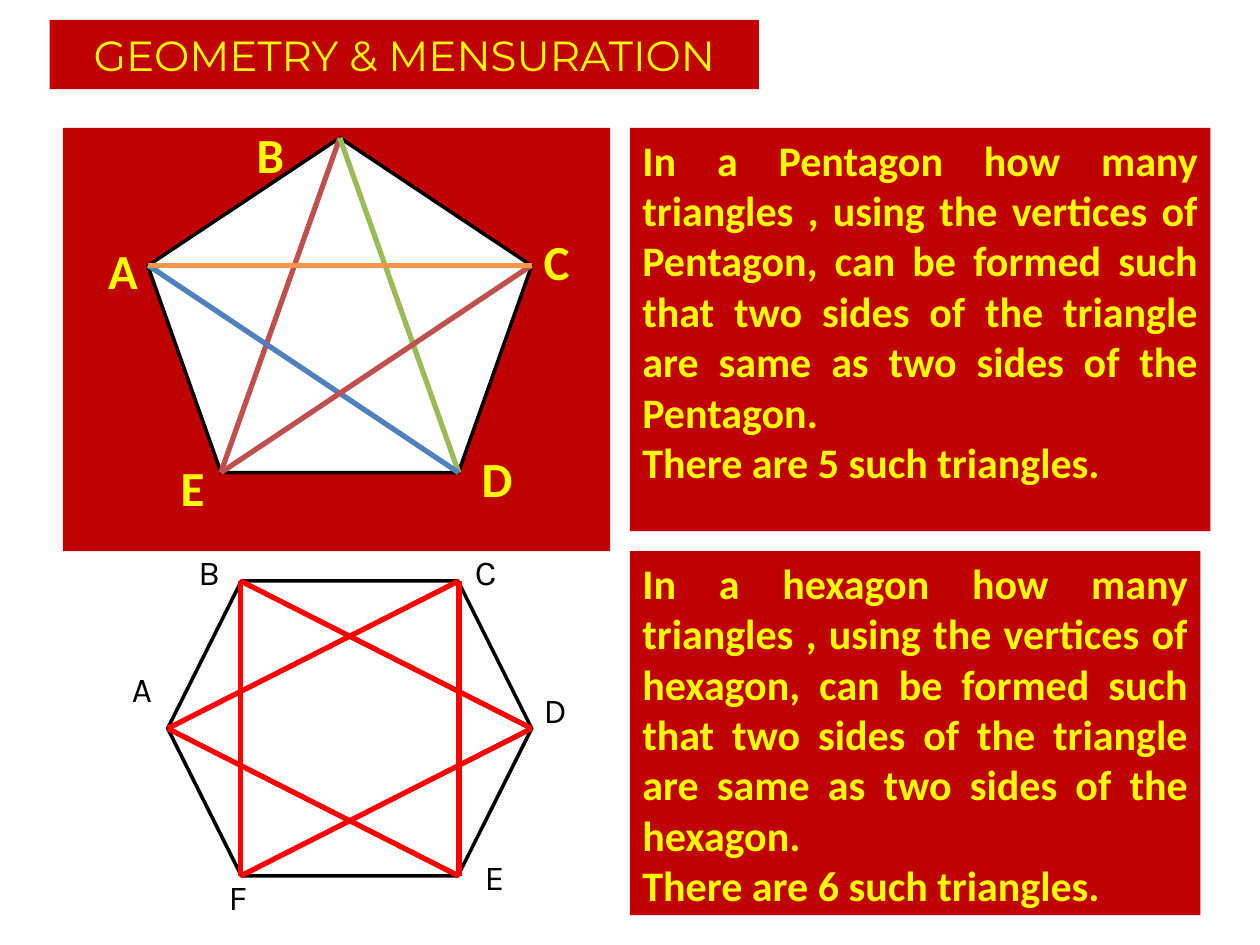
from lxml import etree
from pptx import Presentation
from pptx.dml.color import RGBColor
from pptx.enum.shapes import MSO_CONNECTOR, MSO_SHAPE
from pptx.enum.text import MSO_ANCHOR, MSO_AUTO_SIZE, PP_ALIGN
from pptx.oxml.ns import qn
from pptx.util import Cm, Pt

RECT, PENTA, HEXA = MSO_SHAPE.RECTANGLE, MSO_SHAPE.REGULAR_PENTAGON, MSO_SHAPE.HEXAGON
LINE = MSO_CONNECTOR.STRAIGHT
TOP, MID = MSO_ANCHOR.TOP, MSO_ANCHOR.MIDDLE
MIDDLE, FULL = PP_ALIGN.CENTER, PP_ALIGN.JUSTIFY

MAROON = RGBColor(0xC0, 0x00, 0x00)
YELLOW = RGBColor(0xFF, 0xFF, 0x00)
WHITE = RGBColor(0xFF, 0xFF, 0xFF)
BLACK = RGBColor(0x00, 0x00, 0x00)
RED = RGBColor(0xFF, 0x00, 0x00)
ROSE = RGBColor(0xC0, 0x50, 0x4D)
GREEN = RGBColor(0x9B, 0xBB, 0x59)
BLUE = RGBColor(0x4F, 0x81, 0xBD)
ORANGE = RGBColor(0xF7, 0x96, 0x46)

HEAD = {"name": "Montserrat", "size": Pt(24), "bold": False}
PROSE = {"name": "Calibri", "size": Pt(24), "bold": True}
BIG = {"name": "Calibri", "size": Pt(28), "bold": True}
SMALL = {"name": "Karla", "size": Pt(20), "bold": False}

# Corners as shares of the figure's box, and label centres as cm from the corner
PENTA_PTS = {"A": (0, 0.38), "B": (0.5, 0), "C": (1, 0.38), "D": (0.81, 1), "E": (0.19, 1)}
PENTA_TAGS = {"A": (-0.5, 0.09), "B": (-1.4, 0.32), "C": (0.5, -0.09),
              "D": (0.77, 0.11), "E": (-0.57, 0.29)}
PENTA_LINES = {"EB": ROSE, "DB": GREEN, "AD": BLUE, "EC": ROSE, "AC": ORANGE}

HEXA_PTS = {"A": (0, 0.5), "B": (0.2, 0), "C": (0.8, 0),
            "D": (1, 0.5), "E": (0.8, 1), "F": (0.2, 1)}
HEXA_TAGS = {"A": (-0.57, -0.8), "B": (-0.7, -0.19), "C": (0.47, -0.19),
             "D": (0.39, -0.39), "E": (0.67, 0.01), "F": (-0.09, 0.42)}
HEXA_LINES = dict.fromkeys(("AE", "BF", "CE", "FD", "BD", "AC"), RED)


def put_text(shape, lines, style, color, align, anchor):
    frame = shape.text_frame
    frame.word_wrap = True
    frame.auto_size = MSO_AUTO_SIZE.NONE
    frame.vertical_anchor = anchor
    frame.text = "\n".join(lines)
    for para in frame.paragraphs:
        para.alignment = align
        for key, value in style.items():
            setattr(para.font, key, value)
        para.font.color.rgb = color


def add_shape(slide, kind, box, fill=None, edge=None):
    shape = slide.shapes.add_shape(kind, *map(Cm, box))
    shape.shadow.inherit = False
    if fill is None:
        shape.fill.background()
    else:
        shape.fill.solid()
        shape.fill.fore_color.rgb = fill
    if edge is None:
        shape.line.fill.background()
    else:
        shape.line.color.rgb = edge
        shape.line.width = Pt(2)
    return shape


def add_line(slide, start, end, color):
    line = slide.shapes.add_connector(LINE, *map(Cm, start + end))
    line.line.color.rgb = color
    line.line.width = Pt(3)
    etree.SubElement(line.element.spPr, qn("a:effectLst"))


def add_title(slide, box, text):
    title = slide.shapes.title
    title.left, title.top, title.width, title.height = map(Cm, box)
    title.fill.solid()
    title.fill.fore_color.rgb = MAROON
    put_text(title, [text], HEAD, YELLOW, MIDDLE, MID)


def add_panel(slide, box, lines):
    panel = add_shape(slide, RECT, box, MAROON)
    put_text(panel, lines, PROSE, YELLOW, FULL, TOP)


def add_figure(slide, box, kind, fill, points, lines, tags, side, style, color):
    """Polygon with its diagonals and a letter beside each corner."""
    left, top, width, height = box
    spots = {key: (left + x * width, top + y * height) for key, (x, y) in points.items()}
    add_shape(slide, kind, box, fill, BLACK)
    for (start, end), shade in lines.items():
        add_line(slide, spots[start], spots[end], shade)
    for key, (dx, dy) in tags.items():
        x, y = spots[key]
        place = (x + dx - side / 2, y + dy - side / 2, side, side)
        tag = slide.shapes.add_textbox(*map(Cm, place))
        put_text(tag, [key], style, color, MIDDLE, MID)


def main():
    deck = Presentation()
    deck.slide_width, deck.slide_height = Cm(25.4), Cm(19.05)
    slide = deck.slides.add_slide(deck.slide_layouts[5])

    add_title(slide, (1, 0.4, 14.3, 1.4), "GEOMETRY & MENSURATION")

    # Pentagon row
    add_shape(slide, RECT, (1.27, 2.58, 11.03, 8.53), MAROON)
    add_figure(slide, (2.98, 2.78, 7.74, 6.75), PENTA, WHITE, PENTA_PTS,
               PENTA_LINES, PENTA_TAGS, 1.4, BIG, YELLOW)
    add_panel(slide, (12.7, 2.58, 11.7, 8.13), [
        "In a Pentagon how many triangles , using the vertices of Pentagon, "
        "can be formed such that two sides of the triangle are same as "
        "two sides of the Pentagon.",
        "There are 5 such triangles."])

    # Hexagon row
    add_figure(slide, (3.38, 11.71, 7.34, 5.95), HEXA, None, HEXA_PTS,
               HEXA_LINES, HEXA_TAGS, 0.8, SMALL, BLACK)
    add_panel(slide, (12.7, 11.11, 11.5, 7.34), [
        "In a hexagon how many triangles , using the vertices of hexagon, "
        "can be formed such that two sides of the triangle are same as "
        "two sides of the hexagon.",
        "There are 6 such triangles."])

    deck.save("out.pptx")


if __name__ == "__main__":
    main()
